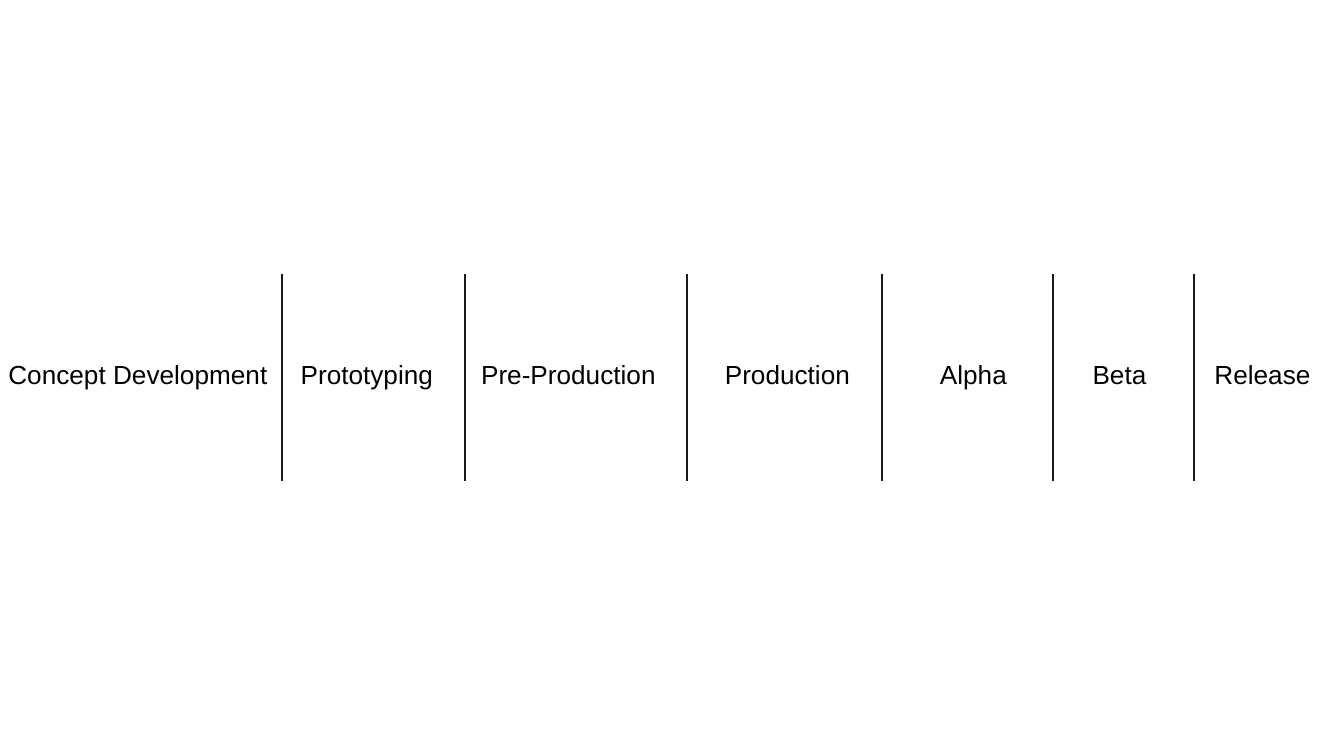
from dataclasses import dataclass

from lxml.etree import SubElement
from pptx import Presentation
from pptx.dml.color import RGBColor
from pptx.enum.shapes import MSO_CONNECTOR
from pptx.enum.text import PP_ALIGN
from pptx.oxml.ns import qn
from pptx.util import Inches, Pt


@dataclass(frozen=True)
class Theme:
    background: RGBColor = RGBColor(0xFF, 0xFF, 0xFF)
    text: RGBColor = RGBColor(0x00, 0x00, 0x00)
    divider: RGBColor = RGBColor(0x19, 0x19, 0x19)
    font: str = "Arial"
    label_size: Pt = Pt(14)
    divider_width: Pt = Pt(0.75)


def px(count):
    """Turn pixels (134.4 to the inch) into EMU."""
    return round(count * Inches(1) / 134.4)


theme = Theme()
presentation = Presentation()
presentation.slide_width = px(1344)
presentation.slide_height = px(756)
slide = presentation.slides.add_slide(presentation.slide_layouts[6])
slide.background.fill.solid()
slide.background.fill.fore_color.rgb = theme.background

# Development phases: name, left, width
phases = [
    ("Concept Development", -36, 348),
    ("Prototyping", 269, 196),
    ("Pre-Production", 450, 237),
    ("Production", 669, 237),
    ("Alpha", 855, 237),
    ("Beta", 1001, 237),
    ("Release", 1144, 237),
]
for name, left, width in phases:
    label = slide.shapes.add_textbox(px(left), px(345), px(width), px(66))
    frame = label.text_frame
    frame.word_wrap = True
    frame.margin_left = frame.margin_right = Inches(0.1)
    frame.margin_top = frame.margin_bottom = Inches(0.1)
    paragraph = frame.paragraphs[0]
    paragraph.text = name
    paragraph.alignment = PP_ALIGN.CENTER
    paragraph.font.name = theme.font
    paragraph.font.size = theme.label_size
    paragraph.font.color.rgb = theme.text

# Dividers between neighbouring phases
for x in (282, 465, 687, 882, 1053, 1194):
    divider = slide.shapes.add_connector(
        MSO_CONNECTOR.STRAIGHT, px(x), px(274), px(x), px(481))
    divider.line.color.rgb = theme.divider
    divider.line.width = theme.divider_width
    SubElement(divider._element.spPr, qn("a:effectLst"))

presentation.save("out.pptx")
